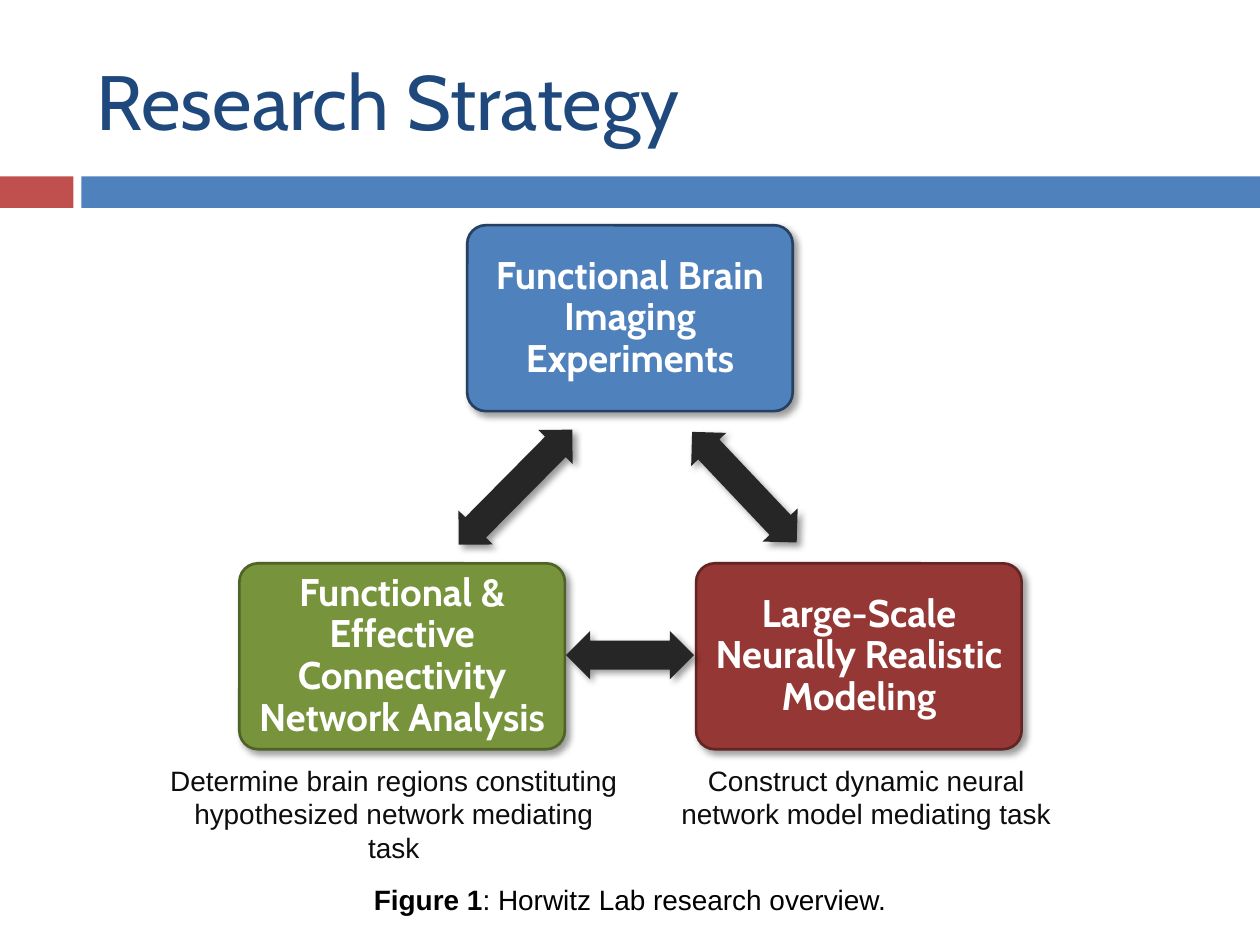
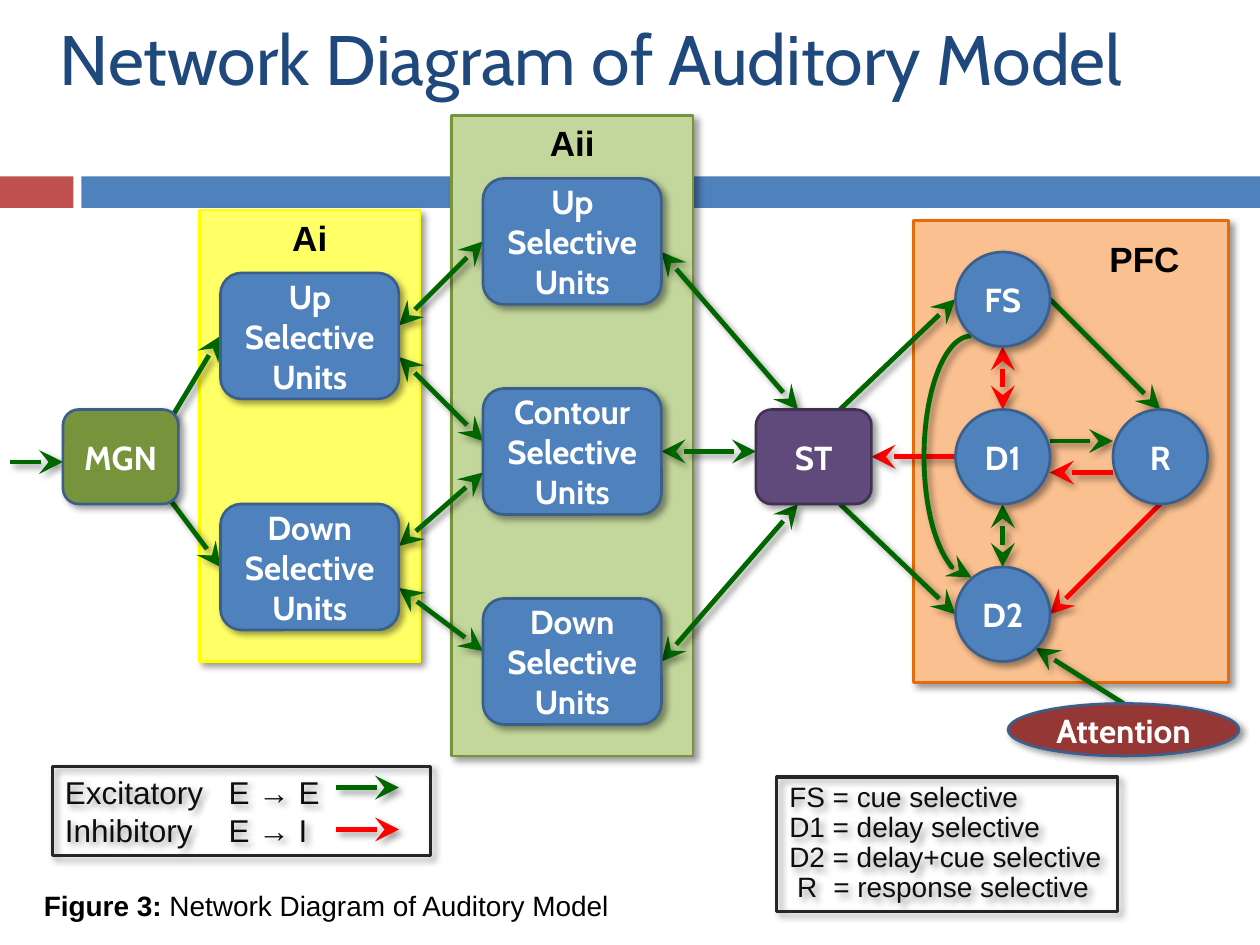
from lxml.etree import SubElement
from pptx import Presentation
from pptx.dml.color import RGBColor
from pptx.enum.shapes import MSO_CONNECTOR, MSO_SHAPE
from pptx.enum.text import MSO_ANCHOR, MSO_AUTO_SIZE, PP_ALIGN
from pptx.oxml.ns import qn
from pptx.util import Inches, Pt

COLUMNS, ROWS = 120, 90
CELL = Inches(10) / COLUMNS
BLUE, GREEN, MAROON, PURPLE = "4F81BD", "77933C", "953735", "604A7B"
INK, CHARCOAL, BLACK, WHITE = "0D0D0D", "262626", "000000", "FFFFFF"
EXCITE, INHIBIT, UNIT_EDGE = "006600", "FF0000", "3A5F8C"
ROUNDED, OVAL, RECTANGLE = MSO_SHAPE.ROUNDED_RECTANGLE, MSO_SHAPE.OVAL, MSO_SHAPE.RECTANGLE
LINK = MSO_CONNECTOR.STRAIGHT
CENTRE, LEFT = PP_ALIGN.CENTER, PP_ALIGN.LEFT


def draw(slide, kind, grid, fill=None, edge=None, weight=1.5, ends=(), shadow=True):
    lengths = [round(cells * CELL) for cells in grid]
    if kind is None:
        return slide.shapes.add_textbox(*lengths)
    if isinstance(kind, MSO_CONNECTOR):
        item = slide.shapes.add_connector(kind, *lengths)
    else:
        item = slide.shapes.add_shape(kind, *lengths)
        if fill:
            item.fill.solid()
            item.fill.fore_color.rgb = RGBColor.from_string(fill)
        else:
            item.fill.background()
    if edge:
        item.line.color.rgb = RGBColor.from_string(edge)
        item.line.width = Pt(weight)
    else:
        item.line.fill.background()
    outline = item.element.spPr.find(qn("a:ln"))
    for end in ends:
        SubElement(outline, qn(f"a:{end}"), type="stealth", w="lg", len="lg")
    effects = SubElement(item.element.spPr, qn("a:effectLst"))
    if shadow:
        cast = SubElement(effects, qn("a:outerShdw"), blurRad="50800", dist="38100",
                          dir="2700000", algn="tl", rotWithShape="0")
        tint = SubElement(cast, qn("a:srgbClr"), val=BLACK)
        SubElement(tint, qn("a:alpha"), val="40000")
    return item


def write(item, lines, size, font, colour, bold=False, align=CENTRE, spacing=1.0,
          anchor=MSO_ANCHOR.TOP, tab=None, **margins):
    frame = item.text_frame
    frame_format = {"word_wrap": True, "auto_size": MSO_AUTO_SIZE.NONE, "vertical_anchor": anchor}
    for name, value in {**frame_format, **margins}.items():
        setattr(frame, name, value)
    for row, line in enumerate(lines):
        paragraph = frame.add_paragraph() if row else frame.paragraphs[0]
        for name, value in {"alignment": align, "line_spacing": spacing}.items():
            setattr(paragraph, name, value)
        for place, text in enumerate(line if isinstance(line, tuple) else (line,)):
            run = paragraph.add_run()
            run.text = text
            run.font.color.rgb = RGBColor.from_string(colour)
            for name, value in {"name": font, "size": Pt(size), "bold": bold and place == 0}.items():
                setattr(run.font, name, value)
    if tab:
        for properties in item.element.iter(qn("a:pPr")):
            stops = SubElement(properties, qn("a:tabLst"))
            SubElement(stops, qn("a:tab"), pos=str(Inches(tab)), algn="l")


deck = Presentation()
deck.slide_width, deck.slide_height = round(COLUMNS * CELL), round(ROWS * CELL)
title_only = deck.slide_layouts[5]
overview, network = [deck.slides.add_slide(title_only) for _ in range(2)]

for position, (left, width, colour) in enumerate([(0, 7, "C0504D"), (7.75, 112.25, BLUE)]):
    band = draw(overview, RECTANGLE, (left, 16.8, width, 3), colour, shadow=False)
    title_only.shapes.element.insert(2 + position, band.element)

for slide, heading, size, grid in [
    (overview, "Research Strategy", 44, (8, 3, 107, 13)),
    (network, " Network Diagram of Auditory Model", 40, (3, 0, 114, 11)),
]:
    title = slide.shapes.title
    for name, cells in zip(("left", "top", "width", "height"), grid):
        setattr(title, name, round(cells * CELL))
    write(title, [heading], size, "Cabin", "1F497D", align=LEFT, anchor=MSO_ANCHOR.MIDDLE)

for centre, top, fill, edge, topic in [
    (60, 21.45, BLUE, "254061", "Functional Brain Imaging Experiments"),
    (81.8, 53.65, MAROON, "632523", "Large-Scale Neurally Realistic Modeling"),
    (38.3, 53.65, GREEN, "4F6228", "Functional & Effective Connectivity Network Analysis"),
]:
    stage = draw(overview, ROUNDED, (centre - 15.5, top, 31, 17.7), fill, edge)
    stage.adjustments[0] = 0.1
    write(stage, [topic], 22, "Cabin", WHITE, True, spacing=0.9, anchor=MSO_ANCHOR.MIDDLE,
          margin_left=Inches(0.05), margin_right=Inches(0.05))

for centre, middle, length, angle in [
    (70.9, 46.4, 14.5, 46.6), (60, 62.4, 12.2, 0), (49.1, 46.4, 15.4, 314.7),
]:
    exchange = draw(overview, MSO_SHAPE.LEFT_RIGHT_ARROW,
                    (centre - length / 2, middle - 2.3, length, 4.6), CHARCOAL)
    exchange.rotation = angle
    exchange.adjustments[0], exchange.adjustments[1] = 0.6, 0.5

for grid, purpose in [
    ((15, 72.1, 45, 10.9), "Determine brain regions constituting hypothesized network mediating task"),
    ((62, 72.1, 41, 7.7), "Construct dynamic neural network model mediating task"),
]:
    write(draw(overview, None, grid), [purpose], 16, "Arial", INK)

legend = draw(network, RECTANGLE, (5, 73, 36, 8.5), edge=CHARCOAL, weight=1.75)
write(legend, ["Excitatory\tE → E", "Inhibitory\tE → I"], 18, "Arial", INK, align=LEFT, tab=1.3)
for row, colour in [(75, EXCITE), (79, INHIBIT)]:
    draw(network, LINK, (32, row, 38, row), edge=colour, weight=2.75, ends=["tailEnd"])

for grid, fill, edge in [
    ((87, 21, 30, 44), "FAC090", "E46C0A"),
    ((43, 11, 23, 61), "C3D69B", GREEN),
    ((19, 20, 21, 43), "FFFF66", "FFFF00"),
]:
    draw(network, RECTANGLE, grid, fill, edge)

one_way, two_way = ["tailEnd"], ["headEnd", "tailEnd"]
for colour, ends, routes in [
    (EXCITE, one_way, [
        (80, 39, 91, 28.5), (15, 46, 21, 54), (80, 48, 91, 58.5), (100, 28.5, 110.5, 39),
        (15, 42, 21, 32), (100, 42, 106, 42), (107, 67, 98.6, 61.7), (1, 44, 6, 44),
    ]),
    (EXCITE, two_way, [
        (38, 52, 46, 45), (38, 34, 46, 42), (38, 56, 46, 62), (38, 31, 46, 23),
        (63, 43, 72, 43), (63, 24, 76, 39), (63, 63, 76, 48), (95.5, 48, 95.5, 54),
    ]),
    (INHIBIT, one_way, [(106, 45, 100, 45), (91, 43.5, 83, 43.5), (110.5, 48, 100, 58.5)]),
    (INHIBIT, two_way, [(95.5, 33, 95.5, 39)]),
]:
    for route in routes:
        draw(network, LINK, route, edge=colour, weight=2.75, ends=ends)

cue_to_delay = draw(network, MSO_SHAPE.ARC, (88, 32, 9, 23), edge=EXCITE, weight=2.75, ends=one_way)
cue_to_delay.adjustments[0], cue_to_delay.adjustments[1] = 162, 54.08
cue_to_delay.element.spPr.find(qn("a:xfrm")).set("flipH", "1")

for region, grid in [
    ("Ai", (19, 20, 21, 5.3)), ("Aii", (44, 11, 21, 5.3)), ("PFC", (102, 22, 14, 5.3)),
]:
    write(draw(network, None, grid), [region], 20, "Arial", BLACK, True)

for kind, width, height, fill, edge, members in [
    (ROUNDED, 11, 9, GREEN, UNIT_EDGE, [("MGN", 6, 39)]),
    (ROUNDED, 17, 12, BLUE, UNIT_EDGE, [
        ("Up Selective Units", 21, 26), ("Down Selective Units", 21, 48),
        ("Up Selective Units", 46, 17), ("Contour Selective Units", 46, 37),
        ("Down Selective Units", 46, 57),
    ]),
    (OVAL, 9, 9, BLUE, UNIT_EDGE, [("FS", 91, 24), ("D1", 91, 39), ("D2", 91, 54), ("R", 106, 39)]),
    (ROUNDED, 11, 9, PURPLE, "403152", [("ST", 72, 39)]),
    (OVAL, 22, 5, MAROON, UNIT_EDGE, [("Attention", 96, 67)]),
]:
    for label, left, top in members:
        unit = draw(network, kind, (left, top, width, height), fill, edge)
        write(unit, [label], 19, "Cabin", WHITE, True, anchor=MSO_ANCHOR.MIDDLE)

abbreviations = draw(network, RECTANGLE, (74, 74, 32.4, 12.8), edge=CHARCOAL, weight=1.75)
write(abbreviations, [
    "FS = cue selective", "D1 = delay selective", "D2 = delay+cue selective",
    " R\t= response selective",
], 16, "Arial", INK, align=LEFT, spacing=0.9, tab=0.35, margin_right=0)

for slide, grid, align, caption in [
    (overview, (10, 83.5, 100, 4.4), CENTRE, ("Figure 1", ": Horwitz Lab research overview.")),
    (network, (3, 84, 65, 4.4), LEFT, ("Figure 3:", " Network Diagram of Auditory Model")),
]:
    write(draw(slide, None, grid), [caption], 16, "Arial", BLACK, True, align)

deck.save("out.pptx")
